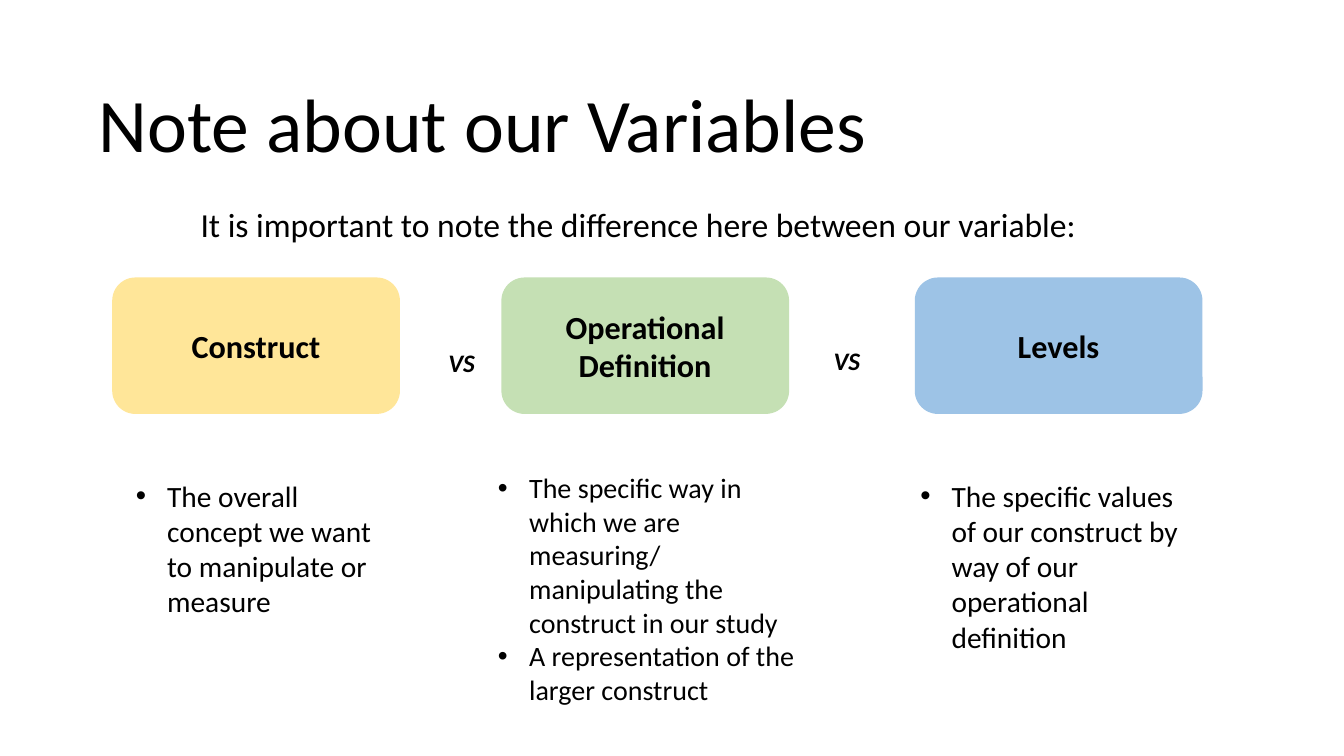
from lxml import etree
from pptx import Presentation
from pptx.dml.color import RGBColor
from pptx.enum.shapes import MSO_SHAPE
from pptx.enum.text import MSO_ANCHOR, PP_ALIGN
from pptx.oxml.ns import qn
from pptx.util import Inches, Pt

ROUNDED = MSO_SHAPE.ROUNDED_RECTANGLE
TOP, MIDDLE, BOTTOM = MSO_ANCHOR.TOP, MSO_ANCHOR.MIDDLE, MSO_ANCHOR.BOTTOM
LEFT, CENTER = PP_ALIGN.LEFT, PP_ALIGN.CENTER
COLORS = {"text": "000000", "yellow": "FFE699", "green": "C5E0B4", "blue": "9DC3E6"}


def write(sp, lines, size, anchor=TOP, align=LEFT, bullet=False, **font):
    tf = sp.text_frame
    tf.word_wrap = True
    tf.vertical_anchor = anchor
    for i, line in enumerate(lines):
        p = tf.paragraphs[0] if i == 0 else tf.add_paragraph()
        p.alignment = align
        if bullet:
            pPr = p._p.get_or_add_pPr()
            pPr.set("marL", str(Inches(0.31)))
            pPr.set("indent", str(Inches(-0.31)))
            etree.SubElement(pPr, qn("a:buFont")).set("typeface", "Arial")
            etree.SubElement(pPr, qn("a:buChar")).set("char", "•")
        r = p.add_run()
        r.text = line
        for name, value in {"name": "Calibri", "size": Pt(size), **font}.items():
            setattr(r.font, name, value)
        r.font.color.rgb = RGBColor.from_string(COLORS["text"])
    return tf


def add_text(left, top, width, height, lines, size, **style):
    sp = s.shapes.add_textbox(Inches(left), Inches(top), Inches(width), Inches(height))
    return write(sp, lines, size, **style)


prs = Presentation()
prs.slide_width, prs.slide_height = Inches(13.33), Inches(7.5)
s = prs.slides.add_slide(prs.slide_layouts[6])

title = add_text(0.88, 0.42, 10.1, 1.3, ["Note about our Variables"], 54, anchor=BOTTOM)
title.paragraphs[0].line_spacing = 0.9
add_text(1.89, 1.97, 10.59, 0.91,
         ["It is important to note the difference here between our variable:"], 24)

cards = [
    (1.12, "yellow", "Construct", (1.25, 4.69, 2.57, 1.51), 21,
     ["The overall concept we want to manipulate or measure"]),
    (4.98, "green", "Operational Definition", (4.84, 4.62, 3.2, 2.46), 20,
     ["The specific way in which we are measuring/ manipulating the construct in our study",
      "A representation of the larger construct"]),
    (9.08, "blue", "Levels", (9.03, 4.69, 2.93, 1.87), 21,
     ["The specific values of our construct by way of our operational definition"]),
]
for left, color, heading, box, size, notes in cards:
    sp = s.shapes.add_shape(ROUNDED, Inches(left), Inches(2.76), Inches(2.84), Inches(1.34))
    sp.shadow.inherit = False
    sp.fill.solid()
    sp.fill.fore_color.rgb = RGBColor.from_string(COLORS[color])
    sp.line.color.rgb = RGBColor.from_string(COLORS[color])
    sp.line.width = Pt(1)
    write(sp, [heading], 23, anchor=MIDDLE, align=CENTER, bold=True)
    add_text(*box, notes, size, bullet=True)

for left, top in [(4.35, 3.4), (8.17, 3.38)]:
    add_text(left, top, 0.56, 0.4, ["VS"], 18, bold=True, italic=True)

prs.save("out.pptx")
